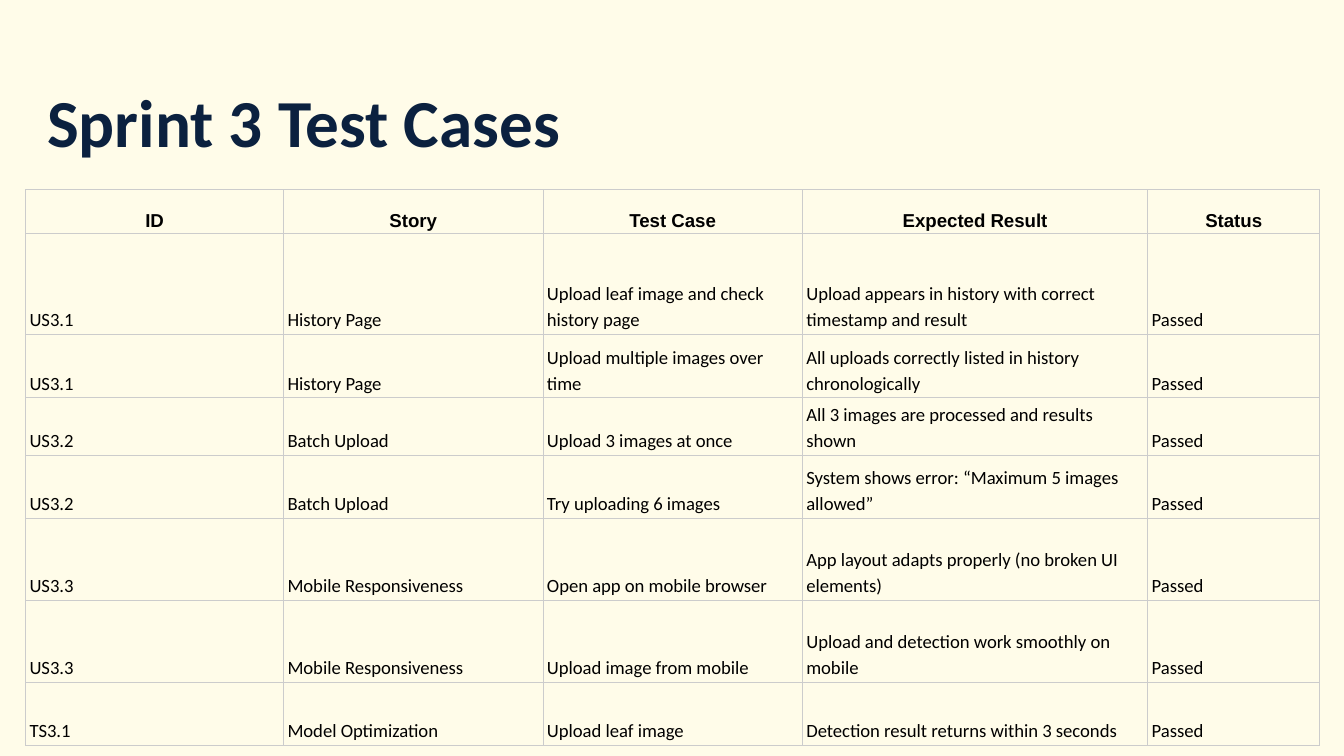
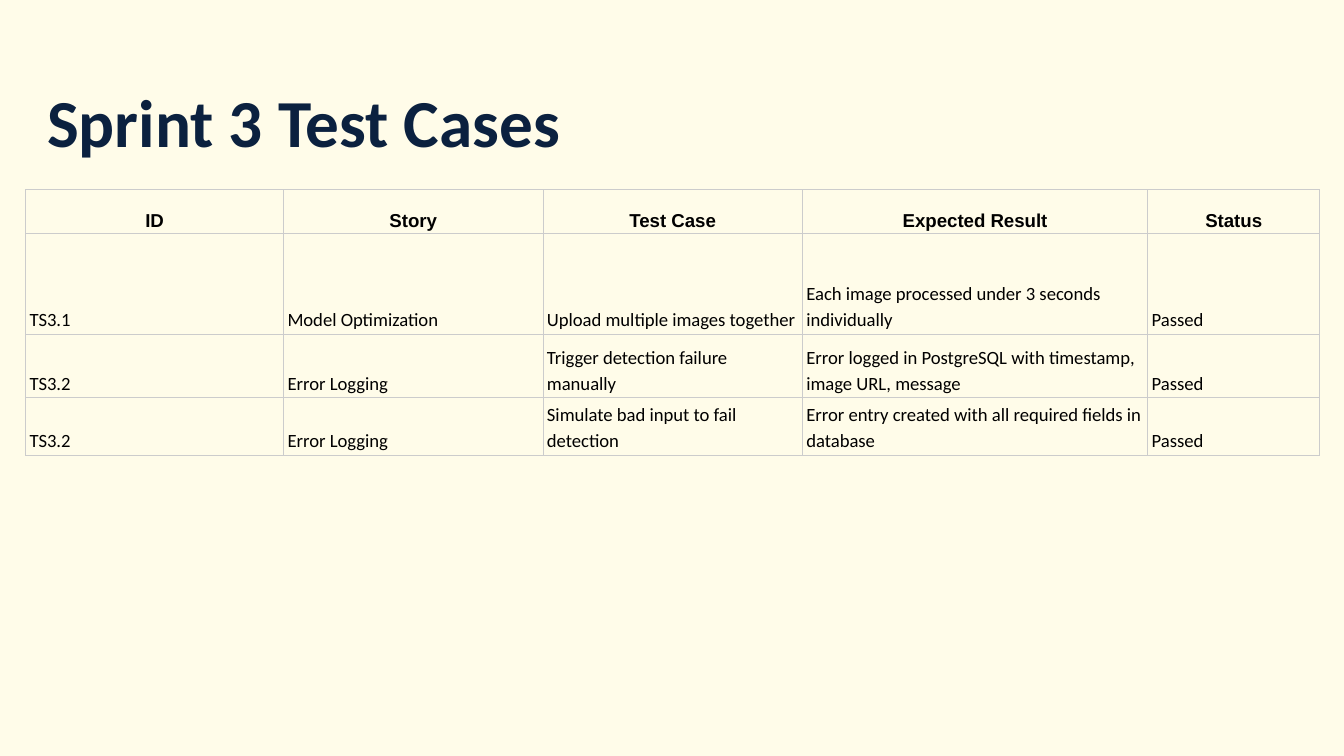
from dataclasses import dataclass

from lxml.etree import SubElement
from pptx import Presentation
from pptx.dml.color import RGBColor
from pptx.enum.text import MSO_ANCHOR, MSO_AUTO_SIZE, PP_ALIGN
from pptx.oxml.ns import qn
from pptx.util import Inches, Pt


@dataclass(frozen=True)
class Theme:
    paper: str = "FFFCE9"
    navy: str = "0B213F"
    ink: str = "000000"
    rule: str = "CCCCCC"
    head: str = "Arial"
    body: str = "Calibri"
    big: int = 36
    small: int = 10
    line: float = 0.42


THEME = Theme()
TITLE = "Sprint 3 Test Cases"
HEADS = ("ID", "Story", "Test Case", "Expected Result", "Status")
STATUS = "Passed"
COLS = (1.92, 1.93, 1.93, 2.57, 1.28)
ROWS = (0.33, 0.75, 0.47, 0.36, 0.47, 0.61, 0.61, 0.47)

USER_CASES = [
    ("US3.1", "History Page", "Upload leaf image and check history page",
     "Upload appears in history with correct timestamp and result"),
    ("US3.1", "History Page", "Upload multiple images over time",
     "All uploads correctly listed in history chronologically"),
    ("US3.2", "Batch Upload", "Upload 3 images at once",
     "All 3 images are processed and results shown"),
    ("US3.2", "Batch Upload", "Try uploading 6 images",
     "System shows error: “Maximum 5 images allowed”"),
    ("US3.3", "Mobile Responsiveness", "Open app on mobile browser",
     "App layout adapts properly (no broken UI elements)"),
    ("US3.3", "Mobile Responsiveness", "Upload image from mobile",
     "Upload and detection work smoothly on mobile"),
    ("TS3.1", "Model Optimization", "Upload leaf image",
     "Detection result returns within 3 seconds"),
]
TECH_CASES = [
    ("TS3.1", "Model Optimization", "Upload multiple images together",
     "Each image processed under 3 seconds individually"),
    ("TS3.2", "Error Logging", "Trigger detection failure manually",
     "Error logged in PostgreSQL with timestamp, image URL, message"),
    ("TS3.2", "Error Logging", "Simulate bad input to fail detection",
     "Error entry created with all required fields in database"),
]


def set_font(para, name, size, color, bold):
    font = para.font
    font.name, font.size, font.bold = name, Pt(size), bold
    font.color.rgb = RGBColor.from_string(color)


def add_title(slide, text):
    title = slide.shapes.title
    title.left, title.top = Inches(0.25), Inches(0.5)
    title.width, title.height = Inches(4.82), Inches(0.48)
    frame = title.text_frame
    frame.text = text
    frame.word_wrap = True
    frame.auto_size = MSO_AUTO_SIZE.NONE
    frame.vertical_anchor = MSO_ANCHOR.TOP
    frame.margin_left = frame.margin_right = Inches(0.1)
    frame.margin_top = frame.margin_bottom = Inches(0.1)
    para = frame.paragraphs[0]
    para.alignment = PP_ALIGN.LEFT
    set_font(para, THEME.body, THEME.big, THEME.navy, True)


def add_rules(cell):
    props = cell._tc.get_or_add_tcPr()
    for side in ("lnL", "lnR", "lnT", "lnB"):
        line = SubElement(props, qn(f"a:{side}"), w=str(Pt(THEME.line)))
        fill = SubElement(line, qn("a:solidFill"))
        SubElement(fill, qn("a:srgbClr"), val=THEME.rule)


def fill_cell(cell, text, head):
    cell.text = text
    cell.vertical_anchor = MSO_ANCHOR.BOTTOM
    cell.margin_left = cell.margin_right = Inches(0.03)
    cell.margin_top = cell.margin_bottom = Inches(0.02)
    add_rules(cell)
    cell.fill.background()
    para = cell.text_frame.paragraphs[0]
    para.alignment = PP_ALIGN.CENTER if head else PP_ALIGN.LEFT
    para.line_spacing = 1.15
    name = THEME.head if head else THEME.body
    set_font(para, name, THEME.small, THEME.ink, head)


def add_cases(slide, cases):
    data = [HEADS] + [(*case, STATUS) for case in cases]
    tall = ROWS[:len(data)]
    table = slide.shapes.add_table(
        len(data), len(COLS), Inches(0.19), Inches(1.41),
        Inches(sum(COLS)), Inches(sum(tall))).table
    table.first_row = table.horz_banding = False
    for col, width in zip(table.columns, COLS):
        col.width = Inches(width)
    for i, (row, height) in enumerate(zip(table.rows, tall)):
        row.height = Inches(height)
        for cell, text in zip(row.cells, data[i]):
            fill_cell(cell, text, i == 0)


def main():
    deck = Presentation()
    deck.slide_width = Inches(10)
    deck.slide_height = deck.slide_width * 9 // 16
    paper = deck.slide_master.background.fill
    paper.solid()
    paper.fore_color.rgb = RGBColor.from_string(THEME.paper)
    layout = deck.slide_layouts.get_by_name("Title Only")
    for cases in (USER_CASES, TECH_CASES):
        slide = deck.slides.add_slide(layout)
        add_title(slide, TITLE)
        add_cases(slide, cases)
    deck.save("out.pptx")


if __name__ == "__main__":
    main()
